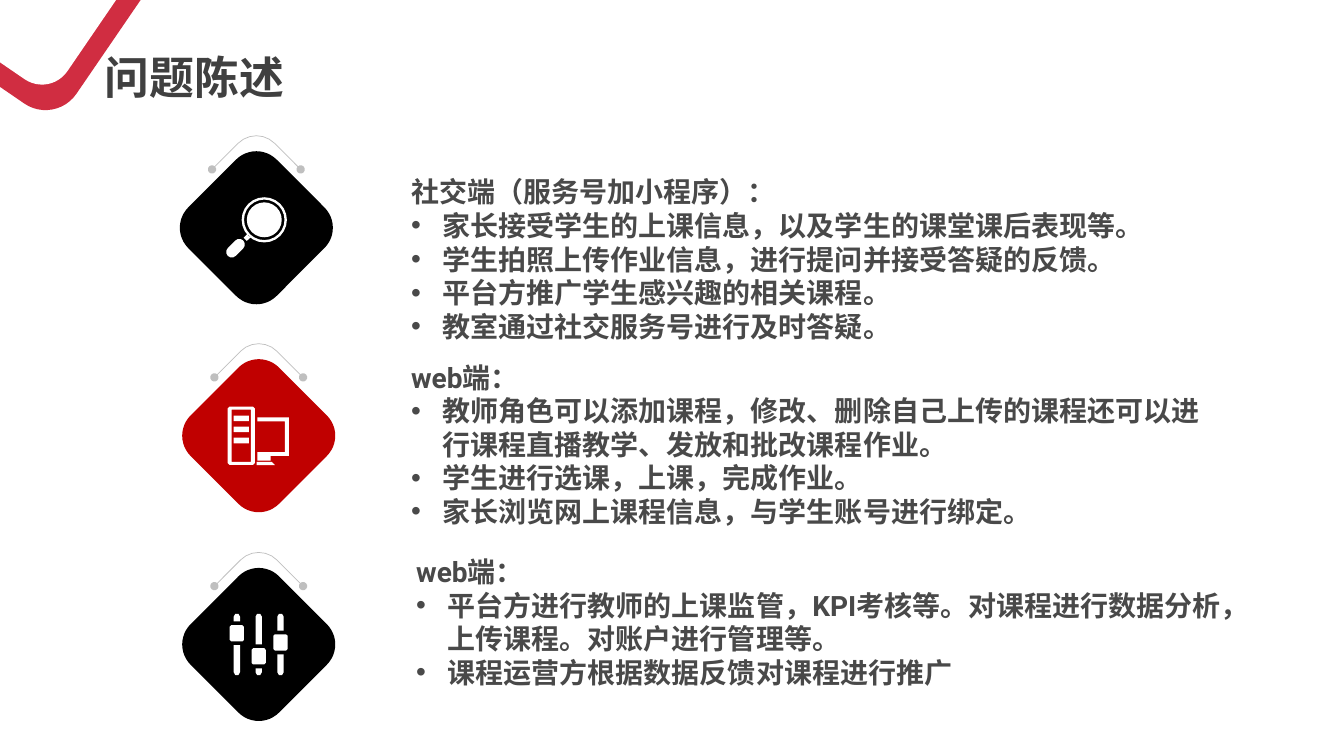
from dataclasses import dataclass
from math import cos, radians, sin

from lxml.etree import SubElement as Sub
from pptx import Presentation
from pptx.dml.color import RGBColor as Rgb
from pptx.enum.shapes import MSO_SHAPE as Kind
from pptx.enum.text import MSO_ANCHOR as Anchor, MSO_AUTO_SIZE as Fit
from pptx.oxml.ns import qn
from pptx.util import Cm, Pt


@dataclass(frozen=True)
class Theme:
    white: str = "FFFFFF"
    black: str = "000000"
    red: str = "C00000"
    mark: str = "D02D41"
    gray: str = "BFBFBF"
    head: str = "404040"
    body: str = "494949"
    latin: str = "Roboto"
    asian: str = "Noto Sans CJK SC"
    big: int = 32
    text: int = 20
    pitch: int = 24
    indent: float = 0.79


THEME = Theme()


def paint(shape, color):
    shape.shadow.inherit = False
    shape.fill.solid()
    shape.fill.fore_color.rgb = Rgb.from_string(color)
    shape.line.fill.background()


def block(slide, mid, size, color, turn, bend):
    left, top = (Cm(spot - size / 2) for spot in mid)
    shape = slide.shapes.add_shape(Kind.ROUNDED_RECTANGLE, left, top, Cm(size), Cm(size))
    shape.rotation = turn
    shape.adjustments[0] = bend
    paint(shape, color)


def outline(slide, mid, loops, close=True):
    paths = [[(Cm(mid[0] + x), Cm(mid[1] + y)) for x, y in loop] for loop in loops]
    form = slide.shapes.build_freeform(*paths[0][0])
    for step, path in enumerate(paths):
        if step:
            form.move_to(*path[0])
        form.add_line_segments(path[1:], close=close)
    return form.convert_to_shape()


def curve(x, y, size, start, end, step):
    return [(x + size * cos(radians(a)), y + size * sin(radians(a)))
            for a in range(start, end + 1, step)]


def rect(x, y, wide, high, cut=0):
    w, h = wide / 2, high / 2
    if not cut:
        return [(x - w, y - h), (x + w, y - h), (x + w, y + h), (x - w, y + h)]
    return [(x - w + cut, y - h), (x + w - cut, y - h), (x + w, y - h + cut),
            (x + w, y + h - cut), (x + w - cut, y + h), (x - w + cut, y + h),
            (x - w, y + h - cut), (x - w, y - h + cut)]


def arc(slide, mid):
    bow = curve(-0.14, -0.14, 0.65, 180, 270, 15)
    loop = [(-0.79, 0.79), *bow, (0.79, -0.79)]
    shape = outline(slide, (mid[0], mid[1] - 1.47), [loop], False)
    shape.rotation = 45
    shape.shadow.inherit = False
    shape.fill.background()
    shape.line.color.rgb = Rgb.from_string(THEME.gray)
    shape.line.width = Pt(0.5)
    line = shape.line._get_or_add_ln()
    for tag in ("a:headEnd", "a:tailEnd"):
        Sub(line, qn(tag), type="oval")


def lens():
    rings = [curve(0.2, -0.2, size, 0, 345, 15) for size in (0.57, 0.51, 0.44)]
    neck = [(-0.23, 0.16), (-0.14, 0.24), (-0.24, 0.33), (-0.32, 0.25)]
    grip = (curve(-0.43, 0.42, 0.14, -135, 45, 30)
            + curve(-0.62, 0.61, 0.14, 45, 225, 30))
    return [*rings, neck, grip]


def desktop():
    case = [rect(-0.44, 0, 0.69, 1.47, 0.05), rect(-0.44, 0, 0.48, 1.32)]
    bars = [rect(-0.44, -0.44 + 0.28 * step, 0.38, 0.14) for step in range(3)]
    screen = [(-0.03, -0.46), (0.76, -0.46), (0.76, 0.51), (0.3, 0.51),
              (0.3, 0.63), (-0.03, 0.63), (-0.03, 0.41), (0.66, 0.41),
              (0.66, -0.36), (-0.03, -0.36)]
    stand = [(-0.05, 0.66), (0.33, 0.66), (0.41, 0.74), (-0.05, 0.74)]
    return [*case, *bars, screen, stand]


def mixer():
    loops = []
    for step, drop in enumerate((-0.28, 0.3, -0.05)):
        x = 0.55 * (step - 1)
        loops.append(rect(x, drop, 0.36, 0.41, 0.04))
        for side in (-1, 1):
            near, far = drop + side * 0.3, side * 0.77
            bend = far - side * 0.07
            loops.append([(x - 0.08, near), (x + 0.08, near), (x + 0.08, bend),
                          (x + 0.04, far), (x - 0.04, far), (x - 0.08, bend)])
    return loops


def badge(slide, mid, color, icon):
    block(slide, mid, 3.15, color, 45, 0.229)
    arc(slide, mid)
    paint(outline(slide, mid, icon()), THEME.white)


def write(para, words, size, color, latin):
    run = para.add_run()
    run.text = words
    font = run.font
    font.size, font.bold, font.name = Pt(size), True, latin
    font.color.rgb = Rgb.from_string(color)
    Sub(run._r.get_or_add_rPr(), qn("a:ea"), typeface=THEME.asian)


def frame(slide, left, top, width, height):
    box = slide.shapes.add_textbox(Cm(left), Cm(top), Cm(width), Cm(height))
    box.text_frame.word_wrap = True
    return box.text_frame


def title(slide, words):
    area = frame(slide, 2.39, 1.12, 9.96, 1.63)
    area.vertical_anchor = Anchor.MIDDLE
    write(area.paragraphs[0], words, THEME.big, THEME.head, THEME.asian)


def bullet(para):
    para.line_spacing = Pt(THEME.pitch)
    props = para._p.get_or_add_pPr()
    props.set("marL", str(Cm(THEME.indent)))
    props.set("indent", str(-Cm(THEME.indent)))
    Sub(props, qn("a:buFont"), typeface="Arial")
    Sub(props, qn("a:buChar"), char="•")


def notes(slide, place, head, items):
    area = frame(slide, *place)
    area.auto_size = Fit.SHAPE_TO_FIT_TEXT
    first = area.paragraphs[0]
    first.line_spacing = Pt(THEME.pitch)
    write(first, head, THEME.text, THEME.body, THEME.latin)
    for item in items:
        para = area.add_paragraph()
        bullet(para)
        write(para, item, THEME.text, THEME.body, THEME.latin)


ROWS = [
    ((6.46, 5.74), THEME.black, lens, (10.11, 4.28, 21.03, 5.38),
     "社交端（服务号加小程序）：",
     ["家长接受学生的上课信息，以及学生的课堂课后表现等。",
      "学生拍照上传作业信息，进行提问并接受答疑的反馈。",
      "平台方推广学生感兴趣的相关课程。",
      "教室通过社交服务号进行及时答疑。"]),
    ((6.52, 10.98), THEME.red, desktop, (10.11, 8.95, 21.03, 4.52),
     "web端：",
     ["教师角色可以添加课程，修改、删除自己上传的课程还可以进行课程直播教学、发放和批改课程作业。",
      "学生进行选课，上课，完成作业。",
      "家长浏览网上课程信息，与学生账号进行绑定。"]),
    ((6.52, 16.24), THEME.black, mixer, (10.24, 13.85, 21.03, 3.68),
     "web端：",
     ["平台方进行教师的上课监管，KPI考核等。对课程进行数据分析，上传课程。对账户进行管理等。",
      "课程运营方根据数据反馈对课程进行推广"]),
]


def main():
    deck = Presentation()
    deck.slide_width, deck.slide_height = Cm(33.87), Cm(19.05)
    slide = deck.slides.add_slide(deck.slide_layouts[6])
    for size, color in ((5.64, THEME.mark), (4.62, THEME.white)):
        block(slide, (0.66, -0.78), size, color, 304.4, 0.167)
    title(slide, "问题陈述")
    for mid, color, icon, place, head, items in ROWS:
        badge(slide, mid, color, icon)
        notes(slide, place, head, items)
    deck.save("out.pptx")


if __name__ == "__main__":
    main()
